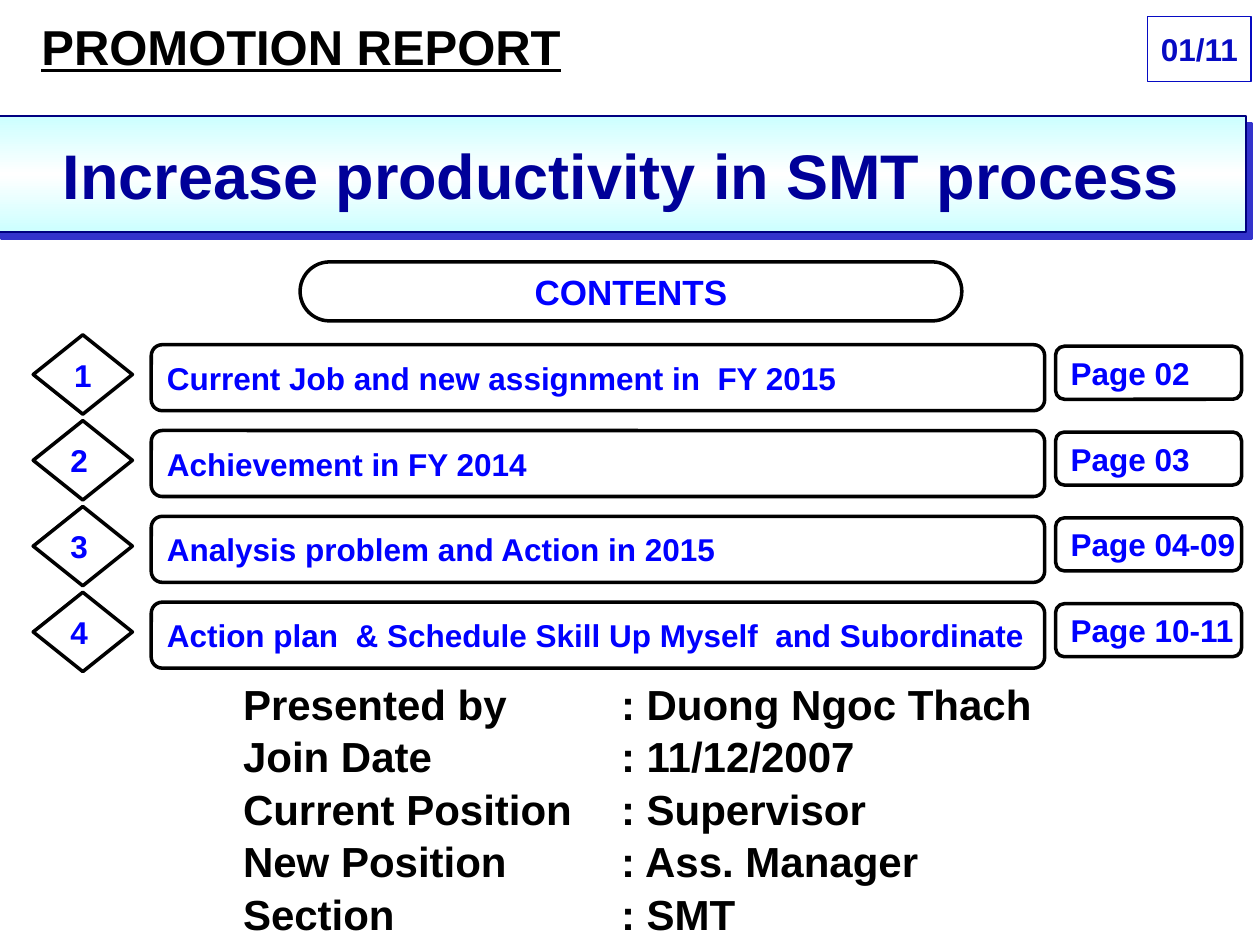
from copy import deepcopy

from lxml import etree
from pptx import Presentation
from pptx.dml.color import RGBColor
from pptx.enum.shapes import MSO_SHAPE
from pptx.enum.text import MSO_ANCHOR, PP_ALIGN
from pptx.oxml.ns import qn
from pptx.util import Cm, Pt

RECTANGLE = MSO_SHAPE.RECTANGLE
ROUNDED = MSO_SHAPE.ROUNDED_RECTANGLE
DIAMOND = MSO_SHAPE.DIAMOND
LEFT, CENTER = PP_ALIGN.LEFT, PP_ALIGN.CENTER
MIDDLE, TOP = MSO_ANCHOR.MIDDLE, MSO_ANCHOR.TOP

BLACK = RGBColor(0x00, 0x00, 0x00)
WHITE = RGBColor(0xFF, 0xFF, 0xFF)
BLUE = RGBColor(0x00, 0x00, 0xFF)
NAVY = RGBColor(0x00, 0x00, 0x80)
TITLE_BLUE = RGBColor(0x00, 0x00, 0x99)
BADGE_BLUE = RGBColor(0x07, 0x0B, 0xC3)
PALE_CYAN = RGBColor(0xCC, 0xFF, 0xFF)
SHADOW_BLUE = RGBColor(0x33, 0x33, 0xCC)

CONTENTS = [
    ("Current Job and new assignment in  FY 2015", "Page 02"),
    ("Achievement in FY 2014", "Page 03"),
    ("Analysis problem and Action in 2015", "Page 04-09"),
    ("Action plan  & Schedule Skill Up Myself  and Subordinate", "Page 10-11"),
]
DETAILS = [
    ("Presented by", "Duong Ngoc Thach"),
    ("Join Date", "11/12/2007"),
    ("Current Position", "Supervisor"),
    ("New Position", "Ass. Manager"),
    ("Section", "SMT"),
]
ROW_PITCH = 1.73


class SlideBuilder:
    font_name = "Arial"

    def __init__(self, slide):
        self.slide = slide

    def text_run(self, paragraph, text, size, color, underline=None):
        run = paragraph.add_run()
        run.text = text
        run.font.name = self.font_name
        run.font.size = Pt(size)
        run.font.bold = True
        run.font.underline = underline
        run.font.color.rgb = color

    def text_box(self, left, top, width, height, anchor=TOP):
        box = self.slide.shapes.add_textbox(Cm(left), Cm(top), Cm(width), Cm(height))
        box.text_frame.word_wrap = True
        box.text_frame.vertical_anchor = anchor
        return box.text_frame

    def heading(self, box, text):
        paragraph = self.text_box(*box).paragraphs[0]
        paragraph.alignment = CENTER
        self.text_run(paragraph, text, 28, BLACK, underline=True)

    def outlined(self, kind, box, text, align=LEFT, size=18, color=BLUE,
                 line_color=BLACK, line_width=2):
        left, top, width, height = box
        shape = self.slide.shapes.add_shape(kind, Cm(left), Cm(top), Cm(width), Cm(height))
        shape.shadow.inherit = False
        shape.fill.background()
        shape.line.color.rgb = line_color
        shape.line.width = Pt(line_width)
        shape.text_frame.word_wrap = False
        shape.text_frame.vertical_anchor = MIDDLE
        paragraph = shape.text_frame.paragraphs[0]
        paragraph.alignment = align
        self.text_run(paragraph, text, size, color)
        return shape

    def banner(self, box, text):
        """Title bar with a three-stop vertical gradient and a hard offset shadow."""
        shape = self.outlined(RECTANGLE, box, text, CENTER, 36, TITLE_BLUE, NAVY, 1.5)
        shape.fill.gradient()
        shape.fill.gradient_angle = 90
        properties = shape._element.spPr
        first_stop = properties.find(".//" + qn("a:gs"))
        first_stop.addnext(deepcopy(first_stop))
        colors = (PALE_CYAN, WHITE, PALE_CYAN)
        for index, (stop, color) in enumerate(zip(shape.fill.gradient_stops, colors)):
            stop.position = index / 2
            stop.color.rgb = color
        shadow = etree.SubElement(
            properties.find(qn("a:effectLst")), qn("a:outerShdw"),
            dist=str(Pt(5)), dir=str(53 * 60000), algn="ctr", rotWithShape="0")
        etree.SubElement(shadow, qn("a:srgbClr"), val=str(SHADOW_BLUE))

    def details(self, box, rows, tab):
        """Label and value lines, with the values aligned at one tab stop."""
        frame = self.text_box(*box, anchor=MIDDLE)
        for index, (label, value) in enumerate(rows):
            paragraph = frame.add_paragraph() if index else frame.paragraphs[0]
            if index:
                paragraph.space_before = Pt(1.2)
            tabs = etree.SubElement(paragraph._p.get_or_add_pPr(), qn("a:tabLst"))
            etree.SubElement(tabs, qn("a:tab"), pos=str(Cm(tab)), algn="l")
            self.text_run(paragraph, f"{label}\t: {value}", 24, BLACK)


def main():
    presentation = Presentation()
    presentation.slide_width, presentation.slide_height = Cm(25.4), Cm(19.05)
    builder = SlideBuilder(presentation.slides.add_slide(presentation.slide_layouts[6]))

    builder.heading((0, 0.2, 12.14, 1.45), "PROMOTION REPORT")
    builder.banner((-0.08, 2.34, 25.2, 2.34), "Increase productivity in SMT process")
    builder.details((4.65, 13.97, 16.64, 4.65), DETAILS, tab=7.62)

    contents = builder.outlined(ROUNDED, (6.05, 5.28, 13.34, 1.19), "CONTENTS", CENTER, 20)
    contents.adjustments[0] = 0.5
    for index, (topic, pages) in enumerate(CONTENTS):
        offset = index * ROW_PITCH
        align = LEFT if index else CENTER
        builder.outlined(DIAMOND, (0.67, 6.75 + offset, 2, 1.6), str(index + 1), align)
        builder.outlined(ROUNDED, (3.05, 6.95 + offset, 18.01, 1.33), topic)
        builder.outlined(ROUNDED, (21.28, 6.98 + offset, 3.75, 1.07), pages)

    builder.outlined(RECTANGLE, (23.14, 0.33, 2.08, 1.32), "01/11", CENTER,
                     color=BADGE_BLUE, line_color=BADGE_BLUE, line_width=0.75)
    presentation.save("out.pptx")


if __name__ == "__main__":
    main()
